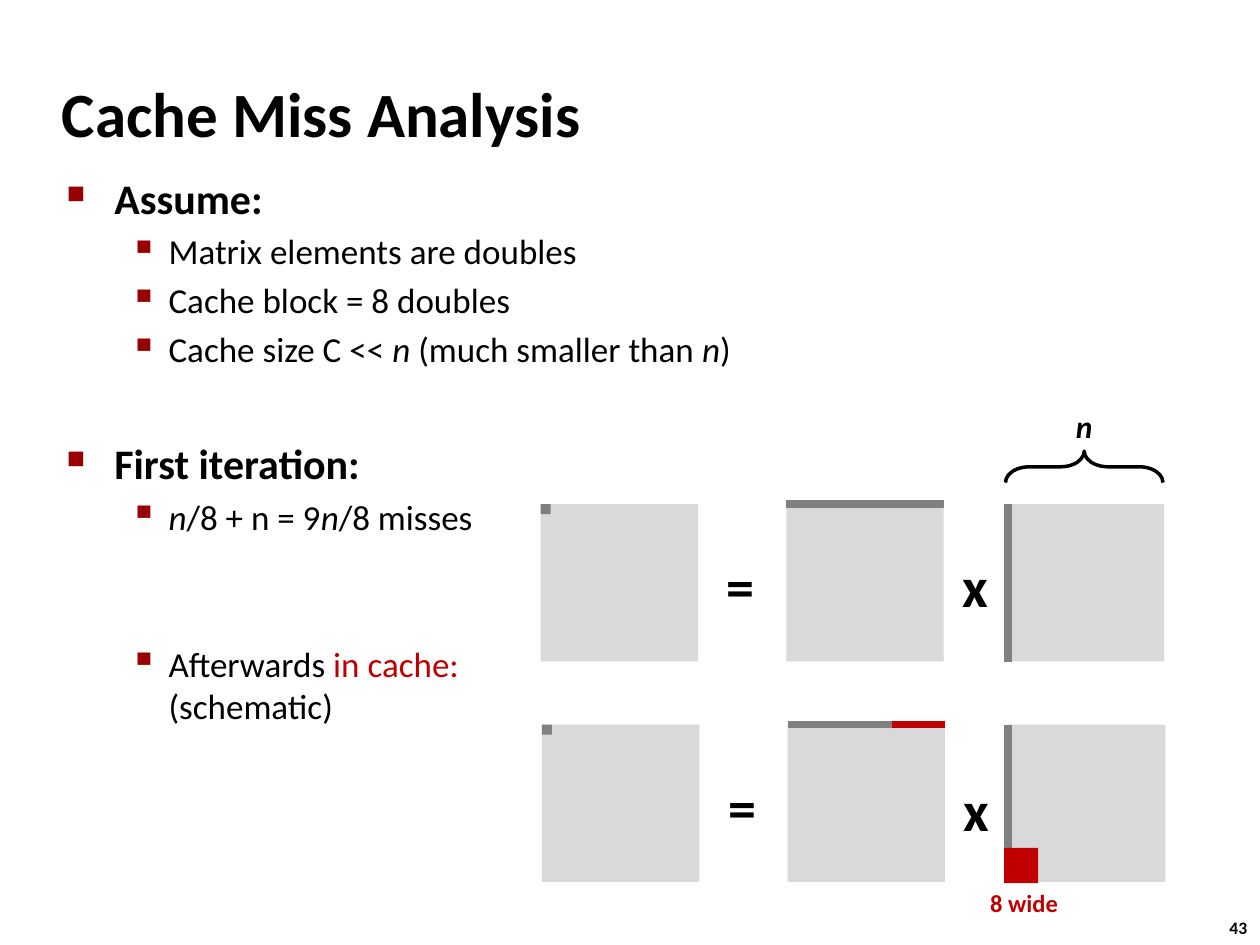
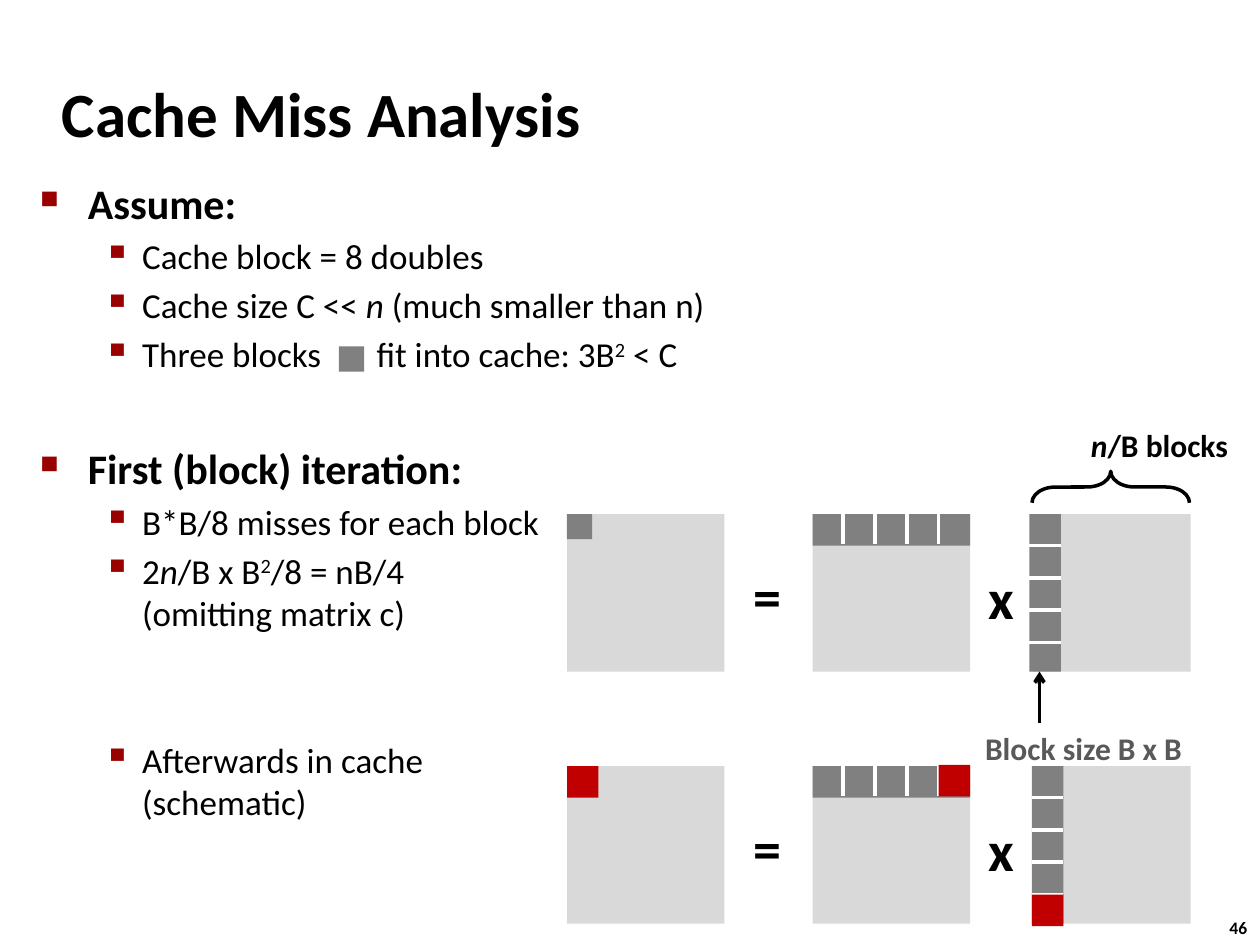
from lxml import etree
from pptx import Presentation
from pptx.dml.color import RGBColor
from pptx.enum.shapes import MSO_CONNECTOR as CONN, MSO_SHAPE as SHAPE
from pptx.enum.text import MSO_ANCHOR as ANCHOR, MSO_AUTO_SIZE as FIT, PP_ALIGN as ALIGN
from pptx.oxml.ns import qn
from pptx.util import Inches, Pt

COLORS = {"text": "000000", "bullet": "990000", "matrix": "D9D9D9", "touched": "808080",
          "cached": "C00000", "gap": "FFFFFF", "note": "595959"}
FONT = "Calibri"
SIDE = 1.25
BLOCK = 0.25
LEVELS = [
    {"size": 24, "bold": True, "before": 4.8, "left": 0.38, "hang": 0.38, "char": "■", "pct": 60},
    {"size": 20, "bold": False, "before": 4, "left": 0.81, "hang": 0.31, "char": "▪", "pct": 110},
]


def rgb(name):
    """Return the named colour."""
    return RGBColor.from_string(COLORS[name])


def style(r, size, color="text", bold=True, italic=False):
    """Format one run."""
    f = r.font
    f.name, f.size, f.bold, f.italic = FONT, Pt(size), bold, italic
    f.color.rgb = rgb(color)


def add_runs(p, parts, size, color="text", bold=True):
    """Fill a paragraph with strings or (text, kind) parts; a newline part breaks the line."""
    for part in parts:
        if part == "\n":
            p.add_line_break()
            continue
        text, kind = (part, "") if isinstance(part, str) else part
        r = p.add_run()
        r.text = text
        style(r, size, "cached" if kind == "cached" else color, bold, kind == "italic")
        rPr = r.font._element
        if kind == "super":
            rPr.set("baseline", "30000")
        elif kind == "wide":
            rPr.set("spc", "2700")


def add_label(s, left, top, width, height, parts, size, color="text"):
    """Add a one-line bold label."""
    tf = s.shapes.add_textbox(Inches(left), Inches(top), Inches(width), Inches(height)).text_frame
    tf.word_wrap = False
    add_runs(tf.paragraphs[0], parts, size, color)


def set_bullet(p, level):
    """Give a paragraph its indent and bullet."""
    pPr = p._p.get_or_add_pPr()
    pPr.set("marL", str(Inches(level["left"])))
    pPr.set("indent", str(-Inches(level["hang"])))
    clr = etree.SubElement(pPr, qn("a:buClr"))
    etree.SubElement(clr, qn("a:srgbClr")).set("val", COLORS["bullet"])
    etree.SubElement(pPr, qn("a:buSzPct")).set("val", str(level["pct"] * 1000))
    etree.SubElement(pPr, qn("a:buChar")).set("char", level["char"])


def add_bullets(s, left, top, items):
    """Add the body from (level, extra space before, parts) items."""
    tf = s.shapes.add_textbox(Inches(left), Inches(top), Inches(8.64), Inches(3.34)).text_frame
    tf.word_wrap = True
    for i, (depth, extra, parts) in enumerate(items):
        level = LEVELS[depth]
        p = tf.add_paragraph() if i else tf.paragraphs[0]
        p.level = depth
        set_bullet(p, level)
        if i:
            p.space_before = Pt(level["before"] + extra)
        add_runs(p, parts, level["size"], bold=level["bold"])


def add_box(s, left, top, width, height, color):
    """Add a filled rectangle without outline."""
    sp = s.shapes.add_shape(SHAPE.RECTANGLE, Inches(left), Inches(top), Inches(width), Inches(height))
    sp.shadow.inherit = False
    sp.fill.solid()
    sp.fill.fore_color.rgb = rgb(color)
    sp.line.fill.background()


def add_line(s, x1, y1, x2, y2, color, width, arrow=False):
    """Add a straight line, with an arrowhead at its end if asked."""
    c = s.shapes.add_connector(CONN.STRAIGHT, Inches(x1), Inches(y1), Inches(x2), Inches(y2))
    c.line.color.rgb = rgb(color)
    c.line.width = Pt(width)
    if arrow:
        etree.SubElement(c.line._get_or_add_ln(), qn("a:tailEnd")).set("type", "arrow")
    etree.SubElement(c._element.spPr, qn("a:effectLst"))


def add_brace(s, left, top):
    """Add an upward brace as wide as a matrix."""
    sp = s.shapes.add_shape(SHAPE.LEFT_BRACE, Inches(left), Inches(top), Inches(BLOCK), Inches(SIDE))
    sp.rotation = 90
    sp.adjustments[0] = 0.75
    sp.shadow.inherit = False
    sp.fill.background()
    sp.line.color.rgb = rgb("text")
    sp.line.width = Pt(2)


def add_product(s, left, top, corner, corner_color="touched", times_drop=0.34):
    """Draw three matrices as c = a x b with the corner of c marked."""
    for offset in (0, 1.95, 3.7):
        add_box(s, left + offset, top, SIDE, SIDE, "matrix")
    add_label(s, left + 1.38, top + 0.33, 0.43, 0.64, ["="], 32)
    add_label(s, left + 3.25, top + times_drop, 0.41, 0.64, ["x"], 32)
    add_box(s, left, top, corner, corner, corner_color)


def add_element_product(s, left, top, times_drop):
    """Draw a product whose first row and column are touched."""
    add_product(s, left, top, 0.08, times_drop=times_drop)
    row = left + 1.95
    add_line(s, row, top, row + SIDE, top, "touched", 4.5)
    add_line(s, 8, top, 8, top + SIDE, "touched", 4.5)


def spread(first, last, count=4):
    """Return evenly spaced values."""
    return [first + i * (last - first) / (count - 1) for i in range(count)]


def add_block_product(s, top, column, corner, corner_color):
    """Draw a product whose first block row and block column are touched."""
    left, row = 4.5, 6.45
    add_product(s, left, top, corner, corner_color)
    add_box(s, row, top, SIDE, BLOCK, "touched")
    add_box(s, column, top, BLOCK, SIDE, "touched")
    for x in spread(row + 0.24, row + 1):
        add_line(s, x, top - 0.01, x, top + 0.24, "gap", 2)
    for y in spread(top + 0.25, top + 1.02):
        add_line(s, column, y, column + BLOCK, y, "gap", 2)


def add_slide(prs, number):
    """Add a slide with the shared title and its page number."""
    s = prs.slides.add_slide(prs.slide_layouts[5])
    title = s.shapes.title
    title.left, title.top, title.width, title.height = map(Inches, (0.39, 0.48, 8.3, 0.83))
    tf = title.text_frame
    tf.text = "Cache Miss Analysis"
    tf.vertical_anchor = ANCHOR.MIDDLE
    tf.auto_size = FIT.NONE
    p = tf.paragraphs[0]
    p.alignment = ALIGN.LEFT
    style(p.runs[0], 36)
    add_label(s, 9.66, 7.23, 0.37, 0.27, [number], 10)
    return s


def build_elementwise(prs):
    """Build the slide on element-wise multiplication."""
    s = add_slide(prs, "43")
    n = ("n", "italic")
    add_bullets(s, 0.43, 1.32, [
        (0, 0, ["Assume:"]),
        (1, 0, ["Matrix elements are doubles"]),
        (1, 0, ["Cache block = 8 doubles"]),
        (1, 0, ["Cache size C << ", ("n ", "italic"), "(much smaller than ", n, ")"]),
        (0, 34, ["First iteration:"]),
        (1, 0, [n, "/8 + n = 9", n, "/8 misses"]),
        (1, 56, ["Afterwards ", ("in cache:", "cached"), "\n", "(schematic)"]),
    ])
    add_element_product(s, 4.29, 4, 0.33)
    add_brace(s, 8.48, 3.08)
    add_label(s, 8.44, 3.18, 0.34, 0.4, [n], 18)
    add_element_product(s, 4.3, 5.75, 0.36)
    add_line(s, 7.08, 5.75, 7.5, 5.75, "cached", 4.5)
    add_box(s, 7.97, 6.73, 0.27, 0.28, "cached")
    add_label(s, 7.76, 7, 0.74, 0.34, ["8 wide"], 14, "cached")


def build_blocked(prs):
    """Build the slide on blocked multiplication."""
    s = add_slide(prs, "46")
    n, squared = ("n", "italic"), ("2", "super")
    add_bullets(s, 0.22, 1.36, [
        (0, 0, ["Assume:"]),
        (1, 0, ["Cache block = 8 doubles"]),
        (1, 0, ["Cache size C << ", n, " (much smaller than n)"]),
        (1, 0, ["Three blocks", (" ", "wide"), "fit into cache: 3B", squared, " < C"]),
        (0, 34, ["First (block) iteration:"]),
        (1, 0, ["B*B/8 misses for each block"]),
        (1, 0, ["2", n, "/B x B", squared, "/8 = nB/4", "\n", "(omitting matrix c)"]),
        (1, 56, ["Afterwards in cache", "\n", "(schematic)"]),
    ])
    add_box(s, 2.69, 2.75, 0.2, 0.2, "touched")
    add_block_product(s, 6.08, 8.19, BLOCK, "cached")
    add_box(s, 7.45, 6.07, BLOCK, BLOCK, "cached")
    add_box(s, 8.19, 7.1, BLOCK, BLOCK, "cached")
    add_block_product(s, 4.08, 8.17, 0.2, "touched")
    add_label(s, 7.72, 5.74, 1.78, 0.4, ["Block size B x B"], 18, "note")
    add_line(s, 8.25, 5.74, 8.25, 5.33, "text", 2, arrow=True)
    add_brace(s, 8.69, 3.24)
    add_label(s, 8.56, 3.33, 1.3, 0.4, [n, "/B blocks"], 18)


def main():
    """Build and save the presentation."""
    prs = Presentation()
    prs.slide_width, prs.slide_height = Inches(10), Inches(7.5)
    build_elementwise(prs)
    build_blocked(prs)
    prs.save("out.pptx")


if __name__ == "__main__":
    main()
